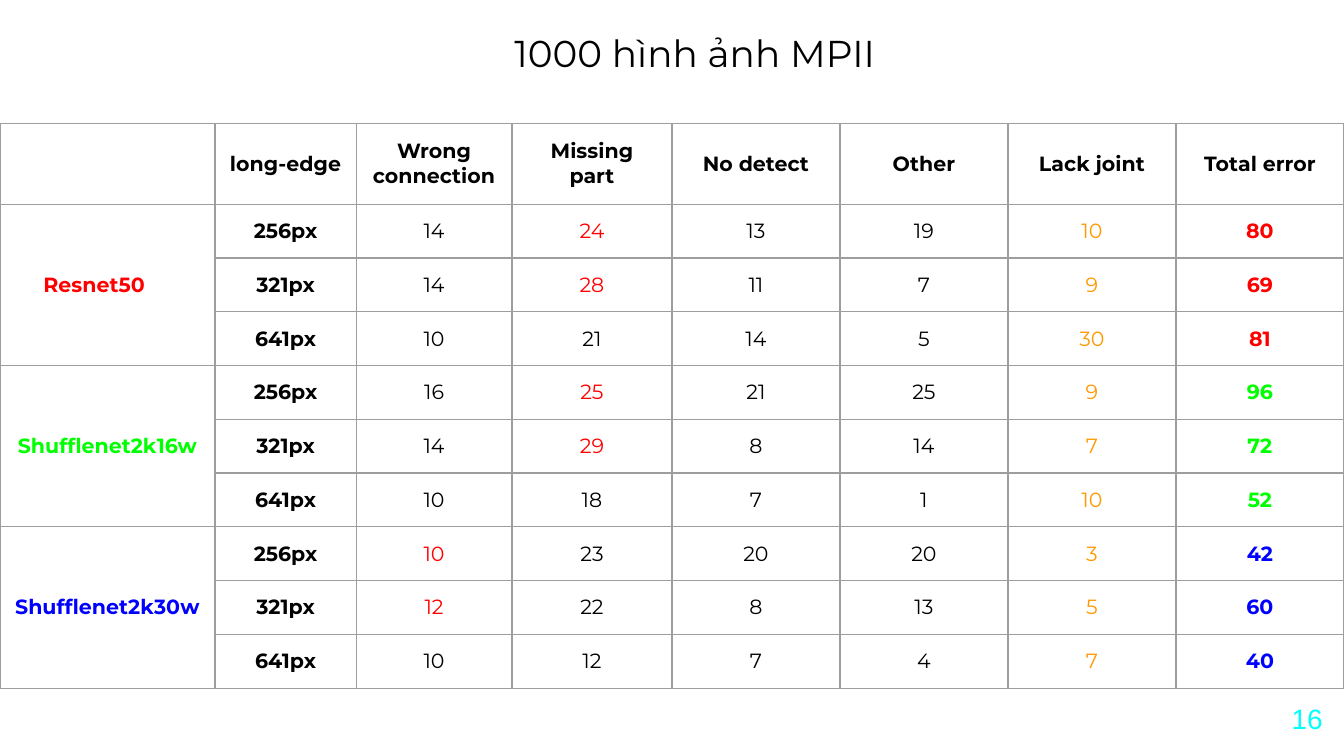
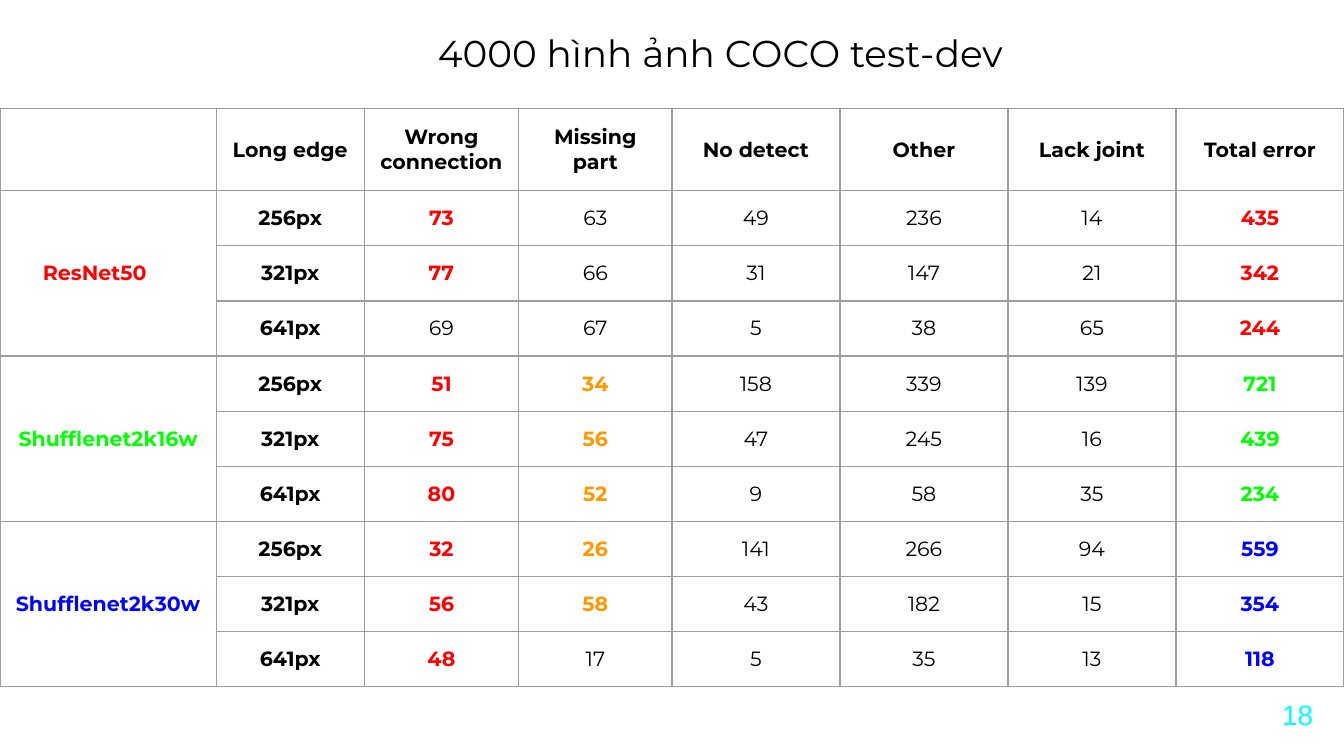
from lxml import etree
from pptx import Presentation
from pptx.dml.color import RGBColor
from pptx.enum.text import MSO_ANCHOR as Anchor, PP_ALIGN as Align
from pptx.oxml.ns import qn
from pptx.util import Inches, Pt

BLACK, RED, GREEN, BLUE = "000000", "FF0000", "00FF00", "0000FF"
ORANGE, CYAN, GREY = "FF9900", "00FFFF", "9E9E9E"
BODY_FONT, NUMBER_FONT = "Montserrat", "Arial"
MARGIN = 0.1
EDGES = ("256px", "321px", "641px")
HEADINGS = ("Wrong connection", "Missing part", "No detect", "Other",
            "Lack joint", "Total error")
WRONG, MISSING, LACK = 0, 1, 4
TOTAL = len(HEADINGS) - 1
FIRST_VALUE_COLUMN = 2

MPII_ERRORS = [
    (14, 24, 13, 19, 10, 80),
    (14, 28, 11, 7, 9, 69),
    (10, 21, 14, 5, 30, 81),
    (16, 25, 21, 25, 9, 96),
    (14, 29, 8, 14, 7, 72),
    (10, 18, 7, 1, 10, 52),
    (10, 23, 20, 20, 3, 42),
    (12, 22, 8, 13, 5, 60),
    (10, 12, 7, 4, 7, 40),
]
MPII_MARKS = {
    WRONG: (RED, (6, 7)),
    MISSING: (RED, (0, 1, 3, 4)),
    LACK: (ORANGE, range(9)),
}
COCO_ERRORS = [
    (73, 63, 49, 236, 14, 435),
    (77, 66, 31, 147, 21, 342),
    (69, 67, 5, 38, 65, 244),
    (51, 34, 158, 339, 139, 721),
    (75, 56, 47, 245, 16, 439),
    (80, 52, 9, 58, 35, 234),
    (32, 26, 141, 266, 94, 559),
    (56, 58, 43, 182, 15, 354),
    (48, 17, 5, 35, 13, 118),
]
COCO_MARKS = {
    WRONG: (RED, (0, 1, 3, 4, 5, 6, 7, 8)),
    MISSING: (ORANGE, range(3, 8)),
}


def rgb(color):
    """Turn a hex string into a colour."""
    return RGBColor.from_string(color)


def write(text_frame, text, size, color, bold=False, align=Align.CENTER, font_name=BODY_FONT):
    """Put one formatted paragraph into a text frame."""
    text_frame.text = text
    text_frame.word_wrap = True
    paragraph = text_frame.paragraphs[0]
    paragraph.alignment = align
    for run in paragraph.runs:
        run.font.name = font_name
        run.font.size = Pt(size)
        run.font.bold = bold
        run.font.color.rgb = rgb(color)


def set_margins(box, margin=MARGIN):
    """Give a cell or text frame equal margins on all sides."""
    box.margin_left = box.margin_right = Inches(margin)
    box.margin_top = box.margin_bottom = Inches(margin)


def add_text(slide, text, left, top, width, height, size, color, **style):
    """Add a vertically centred text box."""
    shape = slide.shapes.add_textbox(Inches(left), Inches(top), Inches(width), Inches(height))
    set_margins(shape.text_frame)
    shape.text_frame.vertical_anchor = Anchor.MIDDLE
    write(shape.text_frame, text, size, color, **style)


def add_borders(cell, color=GREY, width=0.75):
    """Draw a thin line on every side of a cell."""
    properties = cell._tc.get_or_add_tcPr()
    for side in ("a:lnL", "a:lnR", "a:lnT", "a:lnB"):
        line = etree.SubElement(properties, qn(side), w=str(Pt(width)))
        fill = etree.SubElement(line, qn("a:solidFill"))
        etree.SubElement(fill, qn("a:srgbClr"), val=color)


def add_grid(slide, top, widths, header_height, row_height, row_count):
    """Add an unfilled table with grey borders."""
    height = header_height + row_height * (row_count - 1)
    table = slide.shapes.add_table(row_count, len(widths), Inches(0), Inches(top),
                                   Inches(sum(widths)), Inches(height)).table
    table.first_row = table.horz_banding = False
    for column, width in zip(table.columns, widths):
        column.width = Inches(width)
    for index, row in enumerate(table.rows):
        row.height = Inches(row_height if index else header_height)
        for cell in row.cells:
            add_borders(cell)
            cell.fill.background()
            cell.vertical_anchor = Anchor.MIDDLE
            set_margins(cell)
    return table


def fill_cell(cell, text, color=BLACK, bold=True):
    """Write a table entry."""
    write(cell.text_frame, str(text), 11, color, bold)


def add_error_table(slide, top, widths, header_height, row_height,
                    edge_heading, models, errors, marks, bold_marks):
    """Add the error counts of each model and image size."""
    table = add_grid(slide, top, widths, header_height, row_height, len(errors) + 1)
    for column, heading in enumerate((edge_heading, *HEADINGS), 1):
        fill_cell(table.cell(0, column), heading)
    for index, (model, color) in enumerate(models):
        first = 1 + index * len(EDGES)
        model_cell = table.cell(first, 0)
        model_cell.merge(table.cell(first + len(EDGES) - 1, 0))
        fill_cell(model_cell, model, color)
    table.cell(1, 0).margin_right = Inches(0.3)
    for row, counts in enumerate(errors):
        fill_cell(table.cell(row + 1, 1), EDGES[row % len(EDGES)])
        for column, count in enumerate(counts):
            mark_color, marked_rows = marks.get(column, (BLACK, ()))
            marked = row in marked_rows
            color, bold = (mark_color, bold_marks) if marked else (BLACK, False)
            if column == TOTAL:
                color, bold = models[row // len(EDGES)][1], True
            fill_cell(table.cell(row + 1, column + FIRST_VALUE_COLUMN), count, color, bold)


def add_result_slide(presentation, title, title_width, number, number_left, number_top, **table):
    """Add a slide with a title, an error table and a slide number."""
    slide = presentation.slides.add_slide(presentation.slide_layouts[6])
    add_error_table(slide, **table)
    add_text(slide, title, 2.95, 0.09, title_width, 0.6, 20, BLACK)
    add_text(slide, number, number_left, number_top, 0.6, 0.43, 15, CYAN,
             align=Align.RIGHT, font_name=NUMBER_FONT)


def main():
    """Build and save the presentation."""
    presentation = Presentation()
    presentation.slide_width = Inches(10)
    presentation.slide_height = Inches(10) * 9 // 16
    shuffle_models = [("Shufflenet2k16w", GREEN), ("Shufflenet2k30w", BLUE)]
    equal_widths = [1.25] * 4
    add_result_slide(
        presentation, "1000 hình ảnh MPII", 4.44, "16", 9.34, 5.13,
        top=0.92, widths=[1.6, 1.05, 1.16, 1.19, *equal_widths],
        header_height=0.6, row_height=0.4, edge_heading="long-edge",
        models=[("Resnet50", RED), *shuffle_models],
        errors=MPII_ERRORS, marks=MPII_MARKS, bold_marks=False)
    add_result_slide(
        presentation, "4000 hình ảnh COCO test-dev", 4.82, "18", 9.27, 5.1,
        top=0.81, widths=[1.61, 1.1, 1.15, 1.14, *equal_widths],
        header_height=0.61, row_height=0.41, edge_heading="Long edge",
        models=[("ResNet50", RED), *shuffle_models],
        errors=COCO_ERRORS, marks=COCO_MARKS, bold_marks=True)
    presentation.save("out.pptx")


if __name__ == "__main__":
    main()
